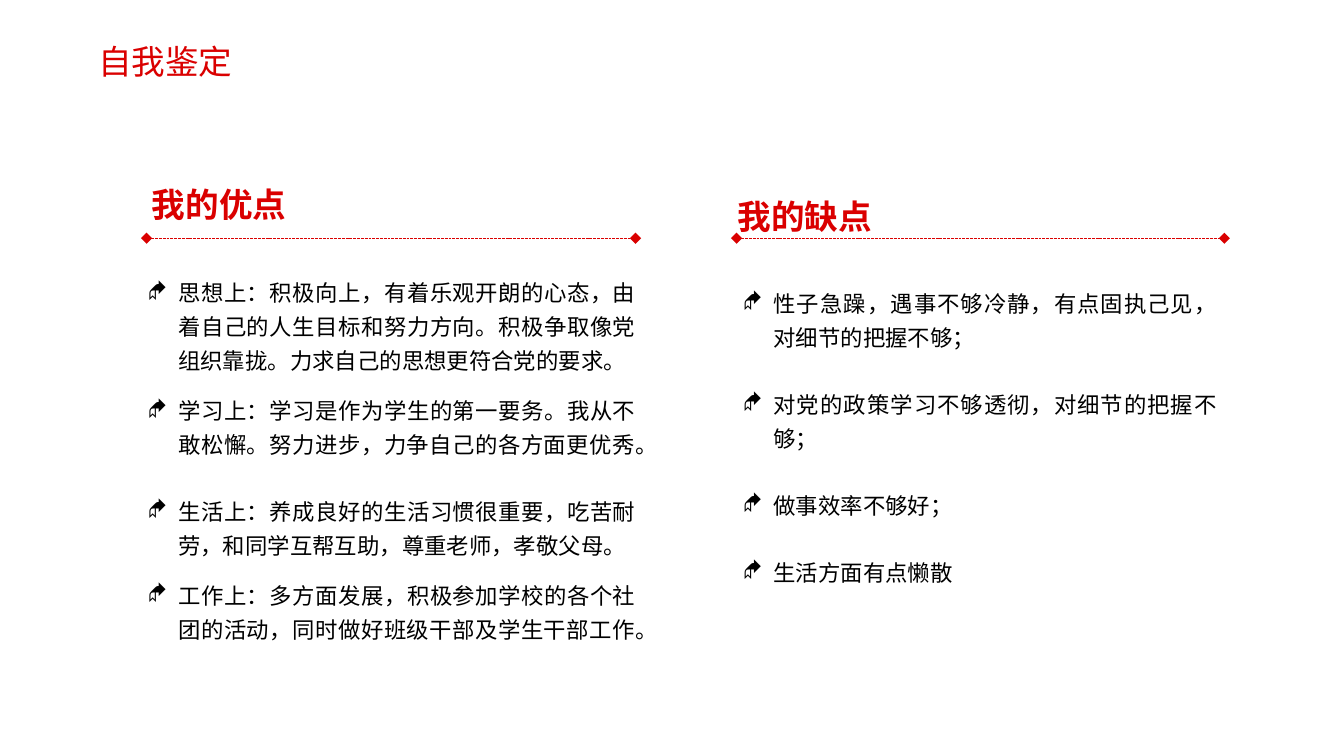
from lxml.etree import SubElement
from pptx import Presentation
from pptx.dml.color import RGBColor
from pptx.enum.dml import MSO_LINE
from pptx.enum.shapes import MSO_CONNECTOR
from pptx.enum.text import MSO_ANCHOR, PP_ALIGN
from pptx.oxml.ns import qn
from pptx.util import Cm, Pt

FONT = "Noto Sans CJK SC"
RED, BLACK = "DA0000", "000000"
INDENT = Cm(0.58)

# Content: each point is (text, space before in points)
TITLE = "自我鉴定"
COLUMNS = [
    {
        "heading": "我的优点", "heading_at": (2.62, 3.33),
        "rule": (2.77, 12.01), "body": (2.54, 5.03, 9.73, 7.9),
        "points": [
            ("思想上：积极向上，有着乐观开朗的心态，由着自己的人生目标和努力方向。"
             "积极争取像党组织靠拢。力求自己的思想更符合党的要求。", 0),
            ("学习上：学习是作为学生的第一要务。我从不敢松懈。"
             "努力进步，力争自己的各方面更优秀。", 9),
            ("生活上：养成良好的生活习惯很重要，吃苦耐劳，和同学互帮互助，"
             "尊重老师，孝敬父母。", 18),
            ("工作上：多方面发展，积极参加学校的各个社团的活动，"
             "同时做好班级干部及学生干部工作。", 9),
        ],
    },
    {
        "heading": "我的缺点", "heading_at": (13.69, 3.56),
        "rule": (13.92, 23.14), "body": (13.79, 5.23, 9.47, 6.6),
        "points": [
            ("性子急躁，遇事不够冷静，有点固执己见，对细节的把握不够；", 0),
            ("对党的政策学习不够透彻，对细节的把握不够；", 18),
            ("做事效率不够好；", 18),
            ("生活方面有点懒散", 18),
        ],
    },
]
RULE_Y = 4.5


def rgb(value):
    return RGBColor.from_string(value)


def set_frame(s, wrap):
    tf = s.text_frame
    tf.word_wrap = wrap
    tf.vertical_anchor = MSO_ANCHOR.TOP
    return tf


def add_run(p, text, size, color, line, bold=False):
    p.line_spacing = Pt(line)
    r = p.add_run()
    r.text = text
    r.font.name = FONT
    r.font.size = Pt(size)
    r.font.bold = bold
    r.font.color.rgb = rgb(color)
    rpr = r.font._element
    rpr.set("lang", "zh-CN")
    SubElement(rpr, qn("a:ea"), typeface=FONT)


def add_bullet(p):
    ppr = p._p.get_or_add_pPr()
    ppr.set("marL", str(INDENT))
    ppr.set("indent", str(-INDENT))
    ppr.set("hangingPunct", "1")
    SubElement(ppr, qn("a:buFont"), typeface="Wingdings")
    SubElement(ppr, qn("a:buChar"), char="◆")


def add_rule(slide, left, right):
    s = slide.shapes.add_connector(
        MSO_CONNECTOR.STRAIGHT, Cm(left), Cm(RULE_Y), Cm(right), Cm(RULE_Y))
    s.line.color.rgb = rgb(RED)
    s.line.width = Pt(0.5)
    s.line.dash_style = MSO_LINE.SQUARE_DOT
    ln = s.line._get_or_add_ln()
    for end in ("a:headEnd", "a:tailEnd"):
        SubElement(ln, qn(end), type="diamond")
    SubElement(s._element.spPr, qn("a:effectLst"))


def add_column(slide, column):
    add_rule(slide, *column["rule"])

    # Heading above the rule
    left, top = column["heading_at"]
    s = slide.shapes.add_textbox(Cm(left), Cm(top), Cm(3.07), Cm(1.02))
    p = set_frame(s, False).paragraphs[0]
    add_run(p, column["heading"], 18, RED, 22, bold=True)

    # Bulleted points below it
    s = slide.shapes.add_textbox(*map(Cm, column["body"]))
    tf = set_frame(s, True)
    for i, (text, gap) in enumerate(column["points"]):
        p = tf.add_paragraph() if i else tf.paragraphs[0]
        p.alignment = PP_ALIGN.JUSTIFY
        p.space_before = Pt(gap)
        add_run(p, text, 12, BLACK, 18)
        add_bullet(p)


def main():
    prs = Presentation()
    prs.slide_width, prs.slide_height = Cm(25.4), Cm(14.28)
    slide = prs.slides.add_slide(prs.slide_layouts[5])

    # Title
    s = slide.shapes.title
    s.left, s.top, s.width, s.height = Cm(1.07), Cm(0.64), Cm(4.11), Cm(1.02)
    p = set_frame(s, True).paragraphs[0]
    p.alignment = PP_ALIGN.CENTER
    add_run(p, TITLE, 18, RED, 22)

    # Strengths and weaknesses
    for column in COLUMNS:
        add_column(slide, column)

    prs.save("out.pptx")


if __name__ == "__main__":
    main()
